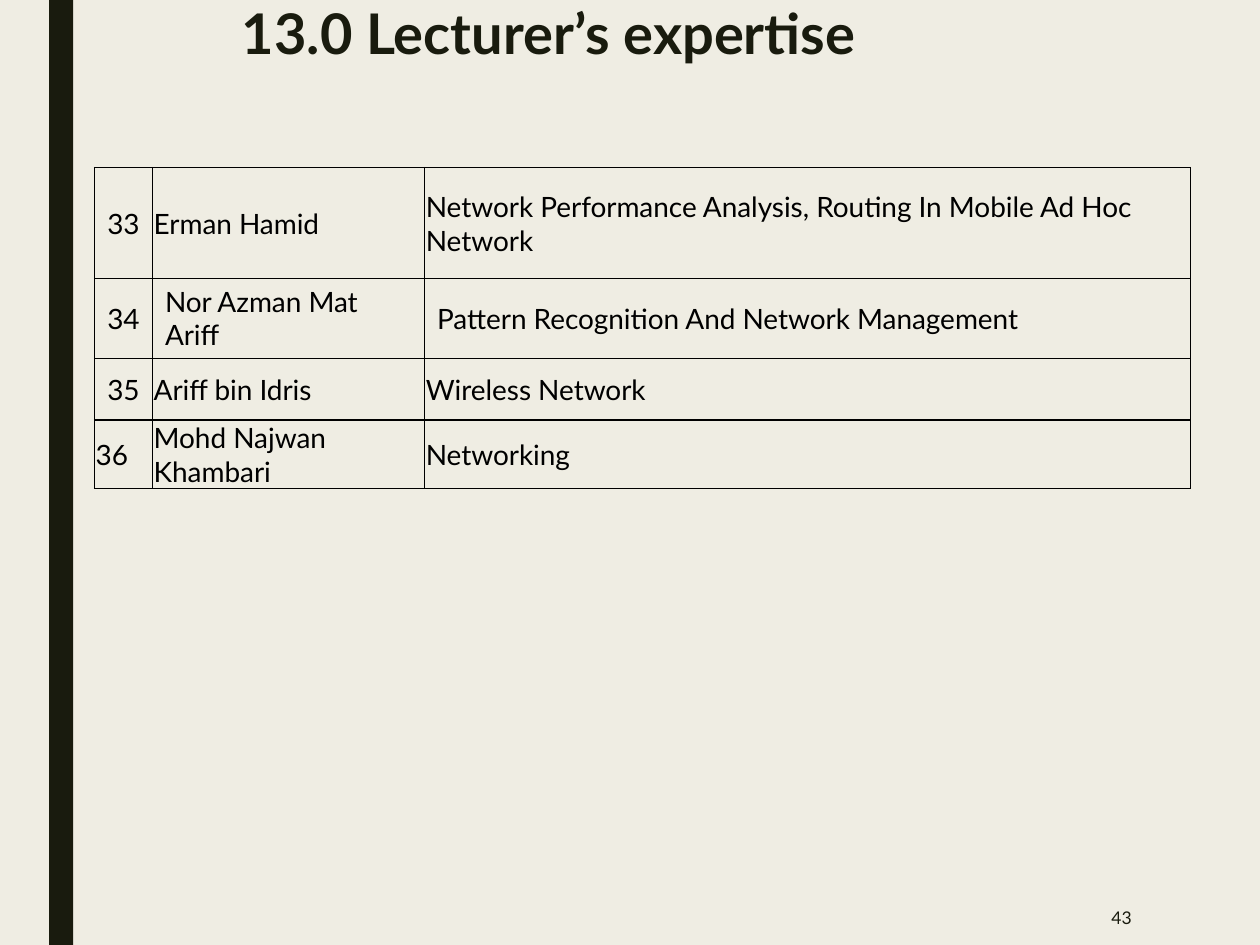
from dataclasses import dataclass

from lxml import etree
from pptx import Presentation
from pptx.dml.color import RGBColor
from pptx.enum.shapes import MSO_SHAPE
from pptx.enum.text import MSO_ANCHOR, MSO_AUTO_SIZE, PP_ALIGN
from pptx.oxml.ns import qn
from pptx.util import Inches, Pt

RECTANGLE = MSO_SHAPE.RECTANGLE
TOP, MIDDLE = MSO_ANCHOR.TOP, MSO_ANCHOR.MIDDLE
LEFT, CENTER, RIGHT = PP_ALIGN.LEFT, PP_ALIGN.CENTER, PP_ALIGN.RIGHT
TITLE_ONLY = 5


@dataclass(frozen=True)
class Theme:
    font: str = "Lato"
    background: str = "EFEDE3"
    dark: str = "191B0E"
    black: str = "000000"
    title_size: int = 32
    table_size: int = 16
    number_size: int = 10
    border_width: int = 1


@dataclass(frozen=True)
class Lecturer:
    number: str
    name: str
    expertise: str
    height: float = 0.49
    number_align: int = CENTER
    roomy: bool = False  # name and expertise keep the default cell margins


THEME = Theme()
COLUMN_WIDTHS = (0.46, 2.16, 6.08)
TIGHT_MARGINS = {"margin_left": 0.01, "margin_top": 0.01,
                 "margin_right": 0.01, "margin_bottom": 0}
LECTURERS = (
    Lecturer("33", "Erman Hamid",
             "Network Performance Analysis, Routing In Mobile Ad Hoc Network",
             height=0.88),
    Lecturer("34", "Nor Azman Mat Ariff",
             "Pattern Recognition And Network Management", roomy=True),
    Lecturer("35", "Ariff bin Idris", "Wireless Network"),
    Lecturer("36", "Mohd Najwan Khambari", "Networking", number_align=LEFT),
)


def write(frame, text: str, size: int, color: str, align=LEFT, bold=False) -> None:
    """Put one formatted line of text in a text frame."""
    para = frame.paragraphs[0]
    para.alignment = align
    span = para.add_run()
    span.text = text
    formats = {"name": THEME.font, "size": Pt(size), "bold": bold}
    for name, value in formats.items():
        setattr(span.font, name, value)
    span.font.color.rgb = RGBColor.from_string(color)


def add_borders(cell) -> None:
    """Draw a solid line on all four sides of a cell."""
    properties = cell._tc.get_or_add_tcPr()
    for position, side in enumerate(("a:lnL", "a:lnR", "a:lnT", "a:lnB")):
        line = etree.Element(qn(side), w=str(Pt(THEME.border_width)))
        fill = etree.SubElement(line, qn("a:solidFill"))
        etree.SubElement(fill, qn("a:srgbClr"), val=THEME.black)
        properties.insert(position, line)


def add_side_bar(page) -> None:
    bar = page.shapes.add_shape(RECTANGLE, Inches(0.39), 0, Inches(0.19), Inches(7.5))
    bar.shadow.inherit = False
    bar.fill.solid()
    bar.fill.fore_color.rgb = RGBColor.from_string(THEME.dark)
    bar.line.fill.background()


def add_title(page, text: str) -> None:
    title = page.shapes.title
    place = {"left": 1.82, "top": 0, "width": 5.95, "height": 1.41}
    for name, value in place.items():
        setattr(title, name, Inches(value))
    frame = title.text_frame
    frame.auto_size = MSO_AUTO_SIZE.NONE
    frame.vertical_anchor = TOP
    write(frame, text, THEME.title_size, THEME.dark, bold=True)
    frame.paragraphs[0].line_spacing = 0.89


def add_page_number(page, text: str) -> None:
    box = page.shapes.add_textbox(Inches(7.77), Inches(7.06), Inches(1.31), Inches(0.44))
    box.text_frame.word_wrap = True
    box.text_frame.vertical_anchor = MIDDLE
    write(box.text_frame, text, THEME.number_size, THEME.dark, RIGHT)


def add_lecturer_table(page, lecturers: tuple[Lecturer, ...]) -> None:
    table = page.shapes.add_table(
        len(lecturers), len(COLUMN_WIDTHS), Inches(0.75), Inches(1.33),
        Inches(sum(COLUMN_WIDTHS)),
        Inches(sum(lecturer.height for lecturer in lecturers))).table
    table.first_row = table.horz_banding = False
    for column, width in zip(table.columns, COLUMN_WIDTHS):
        column.width = Inches(width)
    for row, lecturer in zip(table.rows, lecturers):
        row.height = Inches(lecturer.height)
        texts = (lecturer.number, lecturer.name, lecturer.expertise)
        for index, (cell, text) in enumerate(zip(row.cells, texts)):
            cell.fill.background()
            cell.vertical_anchor = MIDDLE
            if index == 0 or not lecturer.roomy:
                for name, value in TIGHT_MARGINS.items():
                    setattr(cell, name, Inches(value))
            align = lecturer.number_align if index == 0 else LEFT
            write(cell.text_frame, text, THEME.table_size, THEME.black, align)
            add_borders(cell)


def main() -> None:
    deck = Presentation()
    deck.slide_width, deck.slide_height = Inches(10), Inches(7.5)
    page = deck.slides.add_slide(deck.slide_layouts[TITLE_ONLY])
    page.background.fill.solid()
    page.background.fill.fore_color.rgb = RGBColor.from_string(THEME.background)

    add_side_bar(page)
    add_title(page, "13.0 Lecturer’s expertise")
    add_page_number(page, "43")
    add_lecturer_table(page, LECTURERS)
    deck.save("out.pptx")


if __name__ == "__main__":
    main()
